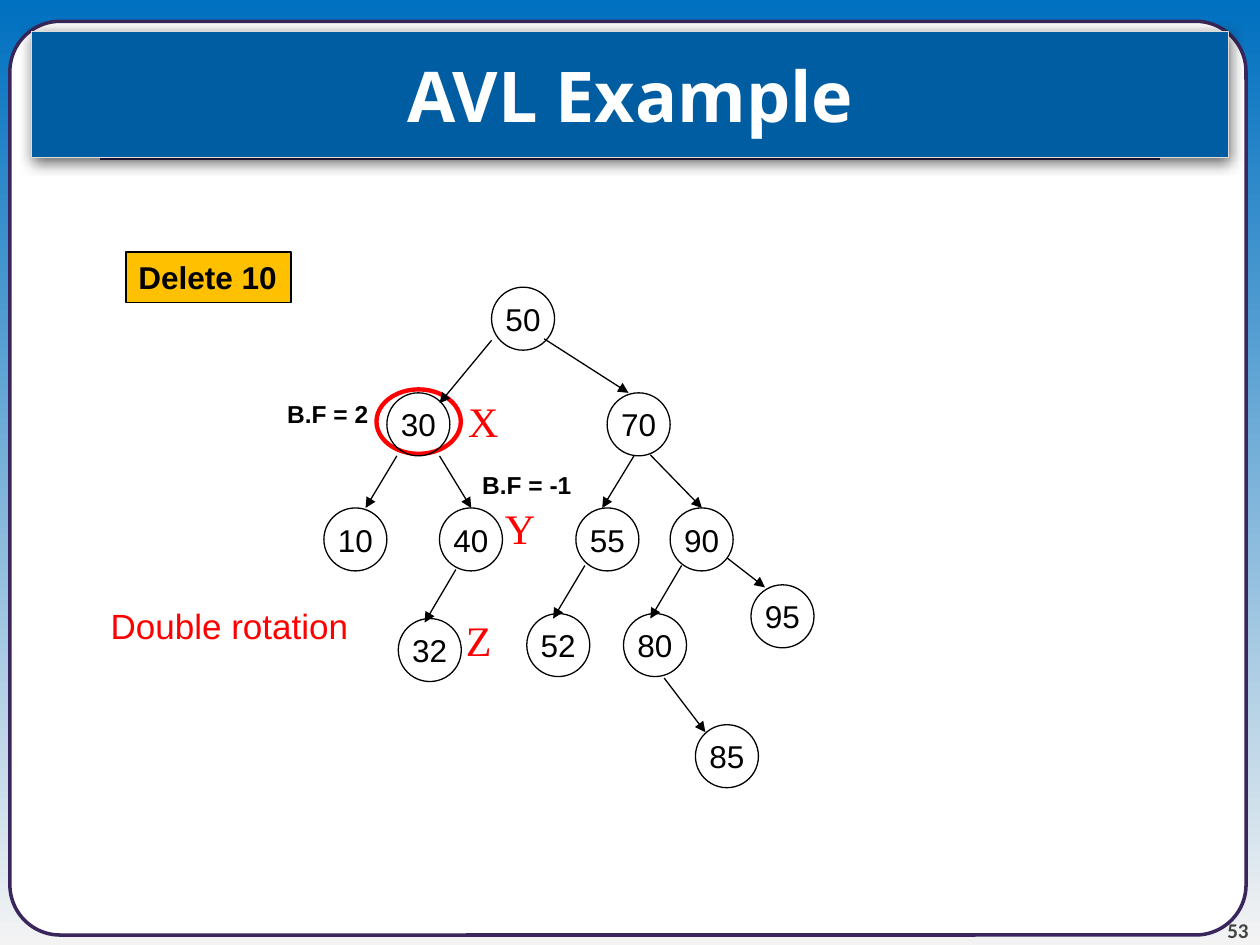
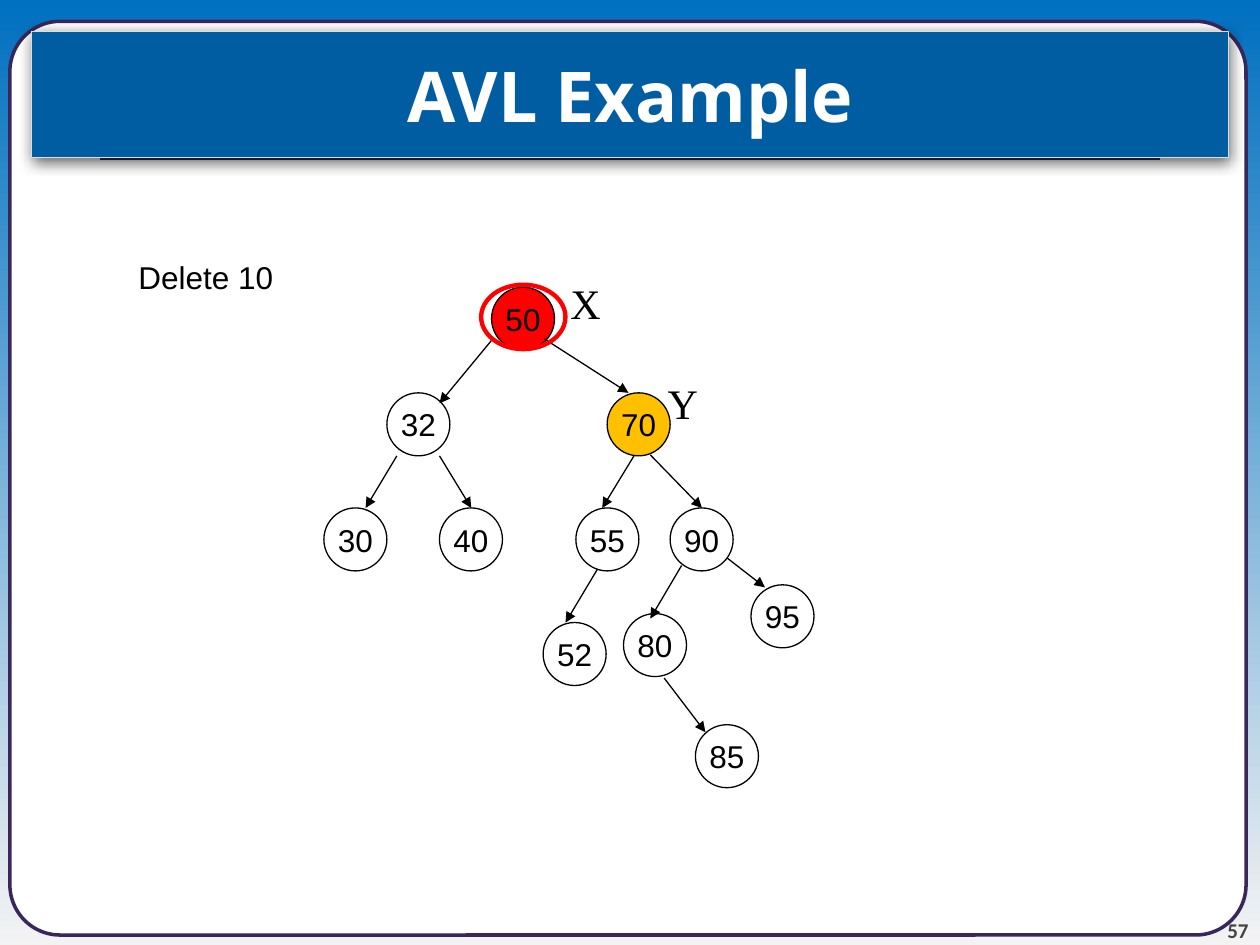
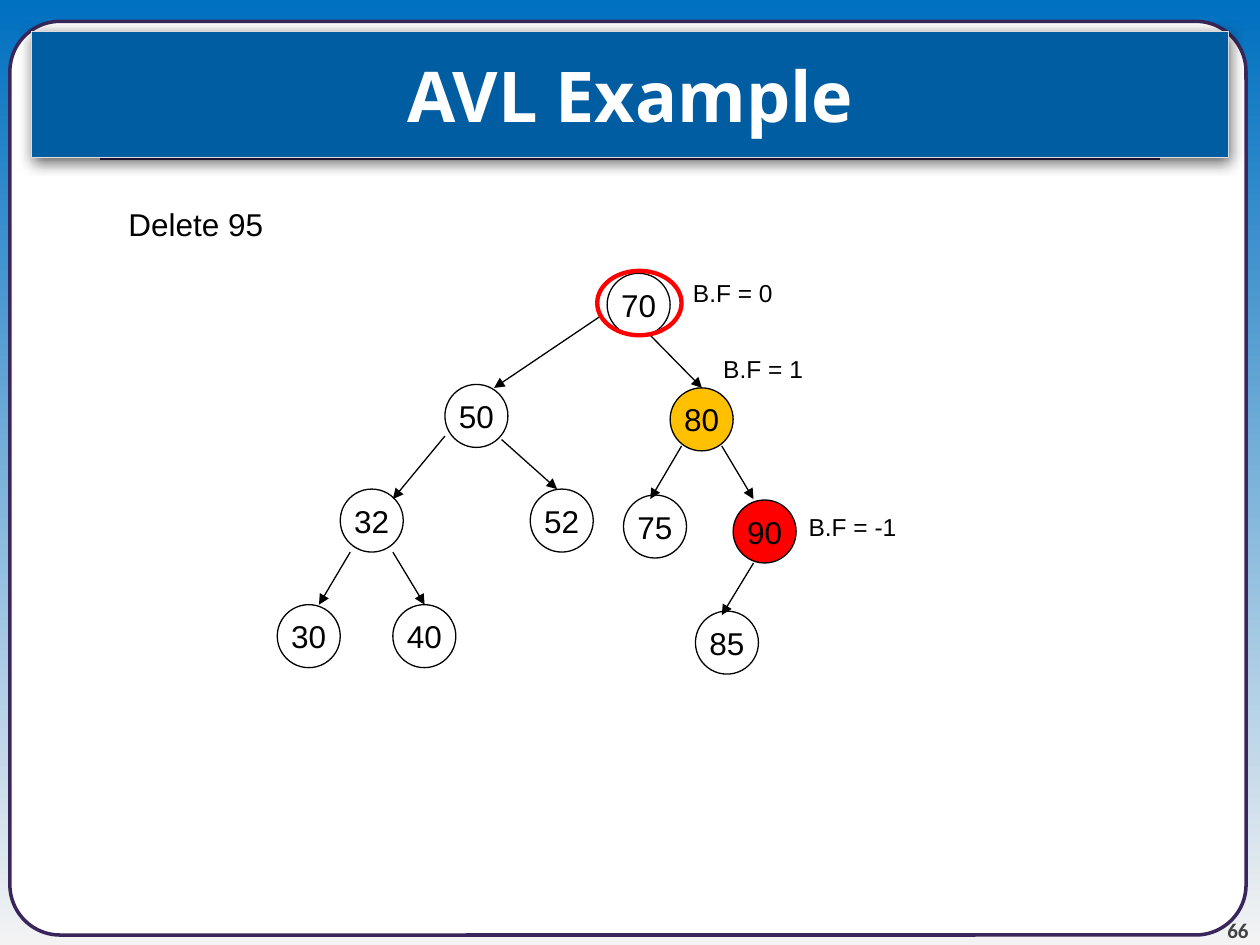
from dataclasses import dataclass
from typing import NamedTuple, Optional

from lxml.etree import SubElement
from pptx import Presentation
from pptx.dml.color import RGBColor
from pptx.enum.shapes import MSO_CONNECTOR, MSO_SHAPE
from pptx.enum.text import MSO_ANCHOR, MSO_AUTO_SIZE, PP_ALIGN
from pptx.oxml.ns import qn
from pptx.shapes.autoshape import Shape
from pptx.shapes.connector import Connector
from pptx.slide import Slide
from pptx.util import Cm, Pt

SKY = RGBColor(0x00, 0x70, 0xC0)
MIST = RGBColor(0xF3, 0xF3, 0xF3)
BANNER = RGBColor(0x00, 0x5D, 0xA2)
BANNER_EDGE = RGBColor(0xDC, 0xDC, 0xDC)
PURPLE = RGBColor(0x39, 0x27, 0x5B)
GRAY = RGBColor(0x42, 0x42, 0x42)
WHITE = RGBColor(0xFF, 0xFF, 0xFF)
BLACK = RGBColor(0x00, 0x00, 0x00)
RED = RGBColor(0xFF, 0x00, 0x00)
AMBER = RGBColor(0xFF, 0xC0, 0x00)

NODE_SIZE = 1.27
RING_WIDTH, RING_HEIGHT = 1.7, 1.3


class TextStyle(NamedTuple):
    size: float
    font: str = "Arial"
    color: RGBColor = BLACK
    bold: bool = False
    wrap: bool = False


class Area(NamedTuple):
    left: float
    top: float
    width: float
    height: float


class Node(NamedTuple):
    key: str
    left: float
    top: float
    fill: Optional[RGBColor] = None


class Edge(NamedTuple):
    start_x: float
    start_y: float
    end_x: float
    end_y: float


class Label(NamedTuple):
    text: str
    area: Area
    style: TextStyle
    fill: Optional[RGBColor] = None


class Ring(NamedTuple):
    left: float
    top: float
    behind: bool = False


@dataclass(frozen=True)
class TreeSlide:
    number: str
    nodes: list[Node]
    edges: list[Edge]
    ring: Ring
    labels: list[Label]


TITLE = TextStyle(40, "Open Sans", WHITE, True, True)
NUMBER = TextStyle(12, "Calibri", GRAY, True, True)
BODY = TextStyle(18)
BODY_BOLD = TextStyle(18, bold=True)
NOTE = TextStyle(20, color=RED)
FACTOR = TextStyle(14)
FACTOR_BOLD = TextStyle(14, bold=True)
LETTER = TextStyle(24, "Times New Roman", wrap=True)
LETTER_RED = LETTER._replace(color=RED)


def letter(text: str, left: float, top: float, style: TextStyle) -> Label:
    return Label(text, Area(left, top, 1.24, 1.27), style)


def factor(value: str, left: float, top: float, width: float, style: TextStyle) -> Label:
    return Label(f"B.F = {value}", Area(left, top, width, 0.86), style)


SHARED_NODES = [
    Node("40", 8.86, 10.24),
    Node("90", 13.51, 10.24),
    Node("55", 11.61, 10.24),
    Node("95", 15.14, 11.79),
    Node("80", 12.57, 12.37),
    Node("85", 14.02, 14.61),
]
SHARED_EDGES = [
    Edge(9.91, 6.86, 8.86, 8.13),
    Edge(10.97, 6.83, 12.67, 7.92),
    Edge(8, 9.19, 7.37, 10.24),
    Edge(8.86, 9.19, 9.5, 10.24),
    Edge(13.11, 9.17, 14.15, 10.24),
    Edge(12.78, 9.19, 12.14, 10.24),
    Edge(14.66, 11.25, 15.42, 11.84),
    Edge(13.74, 11.4, 13.11, 12.47),
    Edge(13.39, 13.67, 14.22, 14.76),
]

TREE_SLIDES = [
    TreeSlide(
        "53",
        SHARED_NODES + [
            Node("50", 9.91, 5.79),
            Node("70", 12.24, 7.92),
            Node("30", 7.8, 7.92),
            Node("10", 6.53, 10.24),
            Node("52", 10.62, 12.37),
            Node("32", 8.03, 12.47),
        ],
        SHARED_EDGES + [
            Edge(11.79, 11.4, 11.15, 12.47),
            Edge(9.19, 11.48, 8.56, 12.55),
        ],
        Ring(7.59, 7.85, behind=True),
        [
            Label("Double rotation", Area(1.98, 12.07, 5.31, 1.09), NOTE),
            letter("Y", 9.93, 10.01, LETTER_RED),
            letter("X", 9.19, 7.85, LETTER_RED),
            letter("Z", 9.14, 12.27, LETTER_RED),
            Label("Delete 10", Area(2.54, 5.08, 3.33, 1.02), BODY_BOLD, AMBER),
            factor("2", 5.54, 7.92, 2.16, FACTOR_BOLD),
            factor("-1", 9.47, 9.35, 2.31, FACTOR_BOLD),
        ],
    ),
    TreeSlide(
        "57",
        SHARED_NODES + [
            Node("50", 9.91, 5.79, RED),
            Node("70", 12.24, 7.92, AMBER),
            Node("32", 7.8, 7.92),
            Node("30", 6.53, 10.24),
            Node("52", 10.95, 12.55),
        ],
        SHARED_EDGES + [Edge(12.04, 11.48, 11.4, 12.55)],
        Ring(9.7, 5.74),
        [
            letter("Y", 13.21, 7.49, LETTER),
            letter("X", 11.25, 5.46, LETTER),
            Label("Delete 10", Area(2.54, 5.08, 3.25, 1.02), BODY),
        ],
    ),
    TreeSlide(
        "66",
        [
            Node("50", 8.97, 7.75),
            Node("70", 12.24, 5.51),
            Node("32", 6.86, 9.86),
            Node("30", 5.59, 12.19),
            Node("40", 7.92, 12.19),
            Node("80", 13.51, 7.82, AMBER),
            Node("52", 10.69, 9.86),
            Node("75", 12.57, 9.98),
            Node("85", 14.02, 12.32),
            Node("90", 14.78, 10.08, RED),
        ],
        [
            Edge(8.97, 8.79, 7.92, 10.06),
            Edge(12.14, 6.35, 9.96, 7.82),
            Edge(7.06, 11.13, 6.43, 12.19),
            Edge(7.92, 11.13, 8.56, 12.19),
            Edge(13.11, 6.76, 14.15, 7.82),
            Edge(10.11, 8.86, 11.23, 9.86),
            Edge(13.74, 8.99, 13.11, 10.06),
            Edge(15.19, 11.35, 14.55, 12.4),
            Edge(14.55, 8.99, 15.19, 10.06),
        ],
        Ring(12.04, 5.46),
        [
            Label("Delete 95", Area(2.34, 4.01, 3.25, 1.02), BODY),
            factor("1", 14.33, 7.01, 2.13, FACTOR),
            factor("-1", 16.05, 10.19, 2.29, FACTOR),
            factor("0", 13.72, 5.49, 2.13, FACTOR),
        ],
    ),
]


def write_text(box: Shape, text: str, style: TextStyle,
               align: PP_ALIGN = PP_ALIGN.LEFT,
               anchor: MSO_ANCHOR = MSO_ANCHOR.TOP) -> None:
    frame = box.text_frame
    frame.text = text
    frame.word_wrap = style.wrap
    frame.vertical_anchor = anchor
    para = frame.paragraphs[0]
    para.alignment = align
    span = para.runs[0]
    span.font.size = Pt(style.size)
    span.font.name = style.font
    span.font.bold = style.bold
    span.font.color.rgb = style.color


def add_outline(page: Slide, kind: MSO_SHAPE, area: Area, fill: Optional[RGBColor],
                line: RGBColor, weight: float) -> Shape:
    shape = page.shapes.add_shape(kind, *map(Cm, area))
    shape.shadow.inherit = False
    if fill is None:
        shape.fill.background()
    else:
        shape.fill.solid()
        shape.fill.fore_color.rgb = fill
    shape.line.color.rgb = line
    shape.line.width = Pt(weight)
    return shape


def add_line(page: Slide, edge: Edge, color: RGBColor, weight: float) -> Connector:
    line = page.shapes.add_connector(MSO_CONNECTOR.STRAIGHT, *map(Cm, edge))
    line.line.color.rgb = color
    line.line.width = Pt(weight)
    SubElement(line._element.spPr, qn("a:effectLst"))
    return line


def add_soft_shadow(shape: Shape) -> None:
    effects = shape._element.spPr.find(qn("a:effectLst"))
    shadow = SubElement(effects, qn("a:outerShdw"), blurRad=str(Pt(8)),
                        dist=str(Pt(2)), dir="5400000", algn="ctr", rotWithShape="0")
    color = SubElement(shadow, qn("a:srgbClr"), val="000000")
    SubElement(color, qn("a:alpha"), val="60000")


def draw_frame(page: Slide, number: str) -> None:
    fill = page.background.fill
    fill.gradient()
    fill.gradient_angle = 270
    for stop, color, position in zip(fill.gradient_stops, (SKY, MIST), (0, 1)):
        stop.color.rgb = color
        stop.position = position

    panel = add_outline(page, MSO_SHAPE.ROUNDED_RECTANGLE,
                        Area(0.2, 0.43, 24.92, 18.42), WHITE, PURPLE, 2)
    panel.adjustments[0] = 0.055

    footer = page.shapes.add_textbox(Cm(23.06), Cm(17.98), Cm(2.11), Cm(1.02))
    write_text(footer, number, NUMBER, PP_ALIGN.RIGHT, MSO_ANCHOR.BOTTOM)
    frame = footer.text_frame
    frame.margin_left = frame.margin_right = frame.margin_top = frame.margin_bottom = 0

    add_line(page, Edge(2.01, 3.18, 23.39, 3.18), PURPLE, 2.25)
    banner = add_outline(page, MSO_SHAPE.ROUNDED_RECTANGLE,
                         Area(0.64, 0.64, 24.13, 2.54), BANNER, BANNER_EDGE, 0.75)
    banner.adjustments[0] = 0
    add_soft_shadow(banner)
    write_text(banner, "AVL Example", TITLE, PP_ALIGN.CENTER, MSO_ANCHOR.MIDDLE)


def draw_node(page: Slide, node: Node) -> None:
    circle = add_outline(page, MSO_SHAPE.OVAL,
                         Area(node.left, node.top, NODE_SIZE, NODE_SIZE),
                         node.fill, BLACK, 0.75)
    write_text(circle, node.key, BODY, PP_ALIGN.CENTER, MSO_ANCHOR.MIDDLE)


def draw_edge(page: Slide, edge: Edge) -> None:
    arrow = add_line(page, edge, BLACK, 0.75)
    SubElement(arrow.line._get_or_add_ln(), qn("a:tailEnd"), type="triangle")


def draw_ring(page: Slide, ring: Ring) -> None:
    add_outline(page, MSO_SHAPE.OVAL,
                Area(ring.left, ring.top, RING_WIDTH, RING_HEIGHT), None, RED, 2.5)


def draw_label(page: Slide, label: Label) -> None:
    if label.fill is None:
        box = page.shapes.add_textbox(*map(Cm, label.area))
    else:
        box = add_outline(page, MSO_SHAPE.RECTANGLE, label.area, label.fill, BLACK, 0.75)
    write_text(box, label.text, label.style)
    box.text_frame.auto_size = MSO_AUTO_SIZE.SHAPE_TO_FIT_TEXT


def draw_tree(page: Slide, tree: TreeSlide) -> None:
    draw_frame(page, tree.number)
    if tree.ring.behind:
        draw_ring(page, tree.ring)
    for node in tree.nodes:
        draw_node(page, node)
    for edge in tree.edges:
        draw_edge(page, edge)
    if not tree.ring.behind:
        draw_ring(page, tree.ring)
    for label in tree.labels:
        draw_label(page, label)


def main() -> None:
    deck = Presentation()
    deck.slide_width = Cm(25.4)
    deck.slide_height = Cm(19.05)
    for tree in TREE_SLIDES:
        draw_tree(deck.slides.add_slide(deck.slide_layouts[6]), tree)
    deck.save("out.pptx")


if __name__ == "__main__":
    main()
